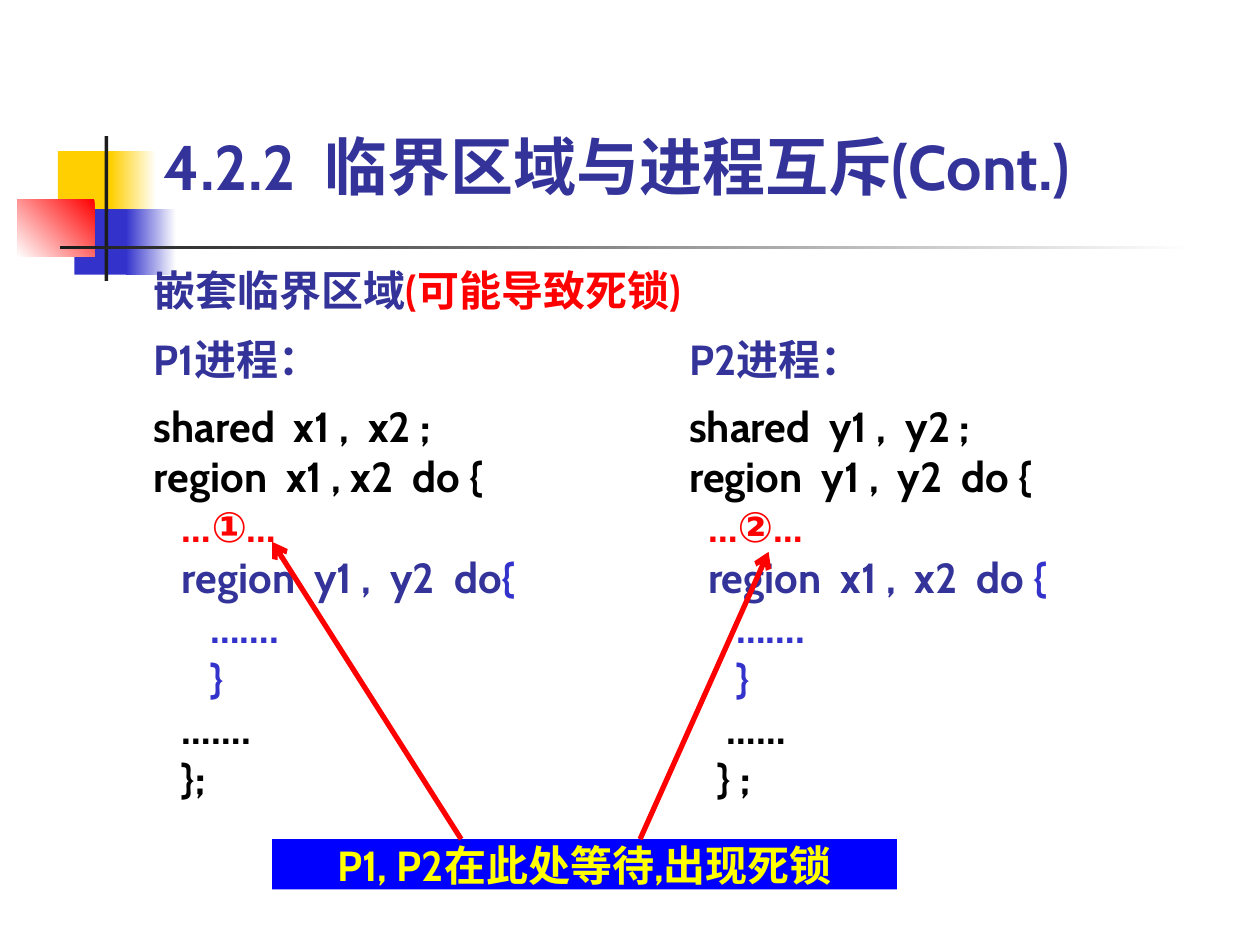
from dataclasses import dataclass

from pptx import Presentation
from pptx import util as u
from pptx.dml.color import RGBColor
from pptx.enum import shapes, text
from pptx.oxml import ns
from lxml import etree


@dataclass(frozen=True)
class Theme:
    font: str = "Cabin"
    title_size: int = 36
    body_size: int = 24
    navy: str = "333399"
    blue: str = "3333CC"
    banner: str = "0000FF"
    red: str = "FF0000"
    yellow: str = "FFFF00"
    gold: str = "FFCF01"
    ink: str = "1C1C1C"
    black: str = "000000"
    white: str = "FFFFFF"


THEME = Theme()

# left, top, width, height, colours (one is solid, two a gradient), clockwise angle
DECORATION = [
    (0.46, 1.2, 0.48, 0.52, [THEME.gold], 0),
    (0.88, 1.2, 0.36, 0.52, [THEME.white, THEME.gold], 180),
    (0.59, 1.66, 0.46, 0.52, [THEME.blue], 0),
    (1, 1.66, 0.4, 0.52, [THEME.white, THEME.blue], 180),
    (0.14, 1.58, 0.61, 0.46, [THEME.red, THEME.white], 135),
    (0.83, 1.08, 0.03, 1.15, [THEME.ink], 0),
    (0.48, 1.95, 9, 0.03, [THEME.white, THEME.ink], 180),
]

# Each line is a list of (words, colour)
TITLE = [[("4.2.2  临界区域与进程互斥(Cont.)", THEME.navy)]]
SUBTITLE = [[("嵌套临界区域", THEME.navy), ("(可能导致死锁)", THEME.red)]]
BANNER = [[("P1, P2在此处等待,出现死锁", THEME.yellow)]]
PROCESS_1 = [
    [("P1进程：", THEME.navy)],
    [("shared  x1 ,  x2 ;", THEME.black)],
    [("region  x1 , x2  do {", THEME.black)],
    [("   …①…", THEME.red)],
    [("   region  y1 ,  y2  do", THEME.navy), ("{", THEME.blue)],
    [("      …….", THEME.blue)],
    [("      }", THEME.blue)],
    [("   …….", THEME.black)],
    [("   };", THEME.black)],
]
PROCESS_2 = [
    [("P2进程：", THEME.navy)],
    [("shared  y1 ,  y2 ;", THEME.black)],
    [("region  y1 ,  y2  do {", THEME.black)],
    [("  …②…", THEME.red)],
    [("  region  x1 ,  x2  do ", THEME.navy), ("{", THEME.blue)],
    [("     …….", THEME.blue)],
    [("     }", THEME.blue)],
    [("    ……", THEME.black)],
    [("   } ;", THEME.black)],
]
COLUMNS = [(1.22, PROCESS_1), (5.47, PROCESS_2)]
ARROWS = [((3.66, 6.66), (2.16, 4.3)), ((5.08, 6.66), (6.1, 4.38))]


def inches(*lengths):
    return [u.Inches(length) for length in lengths]


def add_block(page, place, colours, angle=0):
    block = page.shapes.add_shape(shapes.MSO_SHAPE.RECTANGLE, *inches(*place))
    block.shadow.inherit = False
    block.line.fill.background()
    if len(colours) == 1:
        block.fill.solid()
        block.fill.fore_color.rgb = RGBColor.from_string(colours[0])
    else:
        block.fill.gradient()
        block.fill.gradient_angle = (360 - angle) % 360
        for stop, colour in zip(block.fill.gradient_stops, colours):
            stop.color.rgb = RGBColor.from_string(colour)
    return block


def write(box, lines, size=THEME.body_size, align=text.PP_ALIGN.LEFT,
          anchor=text.MSO_ANCHOR.TOP, heading_gap=0):
    """Fill a box with coloured lines; heading_gap is the space after the first."""
    frame = box.text_frame
    frame.margin_left = frame.margin_right = frame.margin_top = frame.margin_bottom = 0
    frame.word_wrap = True
    frame.auto_size = text.MSO_AUTO_SIZE.SHAPE_TO_FIT_TEXT
    frame.vertical_anchor = anchor
    for index, line in enumerate(lines):
        para = frame.add_paragraph() if index else frame.paragraphs[0]
        para.alignment = align
        if index == 1:
            para.space_before = u.Pt(heading_gap)
        for words, colour in line:
            span = para.add_run()
            span.text = words
            span.font.name = THEME.font
            span.font.size = u.Pt(size)
            span.font.bold = True
            span.font.color.rgb = RGBColor.from_string(colour)


def add_text(page, place, lines, **style):
    write(page.shapes.add_textbox(*inches(*place)), lines, **style)


def add_arrow(page, start, end):
    arrow = page.shapes.add_connector(shapes.MSO_CONNECTOR.STRAIGHT, *inches(*start, *end))
    arrow.line.color.rgb = RGBColor.from_string(THEME.red)
    arrow.line.width = u.Pt(3)
    etree.SubElement(arrow.line._get_or_add_ln(), ns.qn("a:tailEnd"), type="arrow")
    etree.SubElement(arrow._element.spPr, ns.qn("a:effectLst"))


def main():
    deck = Presentation()
    deck.slide_width, deck.slide_height = inches(10, 7.5)
    page = deck.slides.add_slide(deck.slide_layouts[6])

    for *place, colours, angle in DECORATION:
        add_block(page, place, colours, angle)
    add_text(page, (1.3, 1.01, 8.03, 0.6), TITLE, size=THEME.title_size,
             anchor=text.MSO_ANCHOR.BOTTOM)
    add_text(page, (1.22, 2.1, 4.49, 0.8), SUBTITLE)
    for left, lines in COLUMNS:
        add_text(page, (left, 2.65, 3.7, 3.73), lines, heading_gap=9)

    banner = add_block(page, (2.16, 6.66, 4.96, 0.4), [THEME.banner])
    write(banner, BANNER, align=text.PP_ALIGN.CENTER)
    for start, end in ARROWS:
        add_arrow(page, start, end)

    deck.save("out.pptx")


if __name__ == "__main__":
    main()
